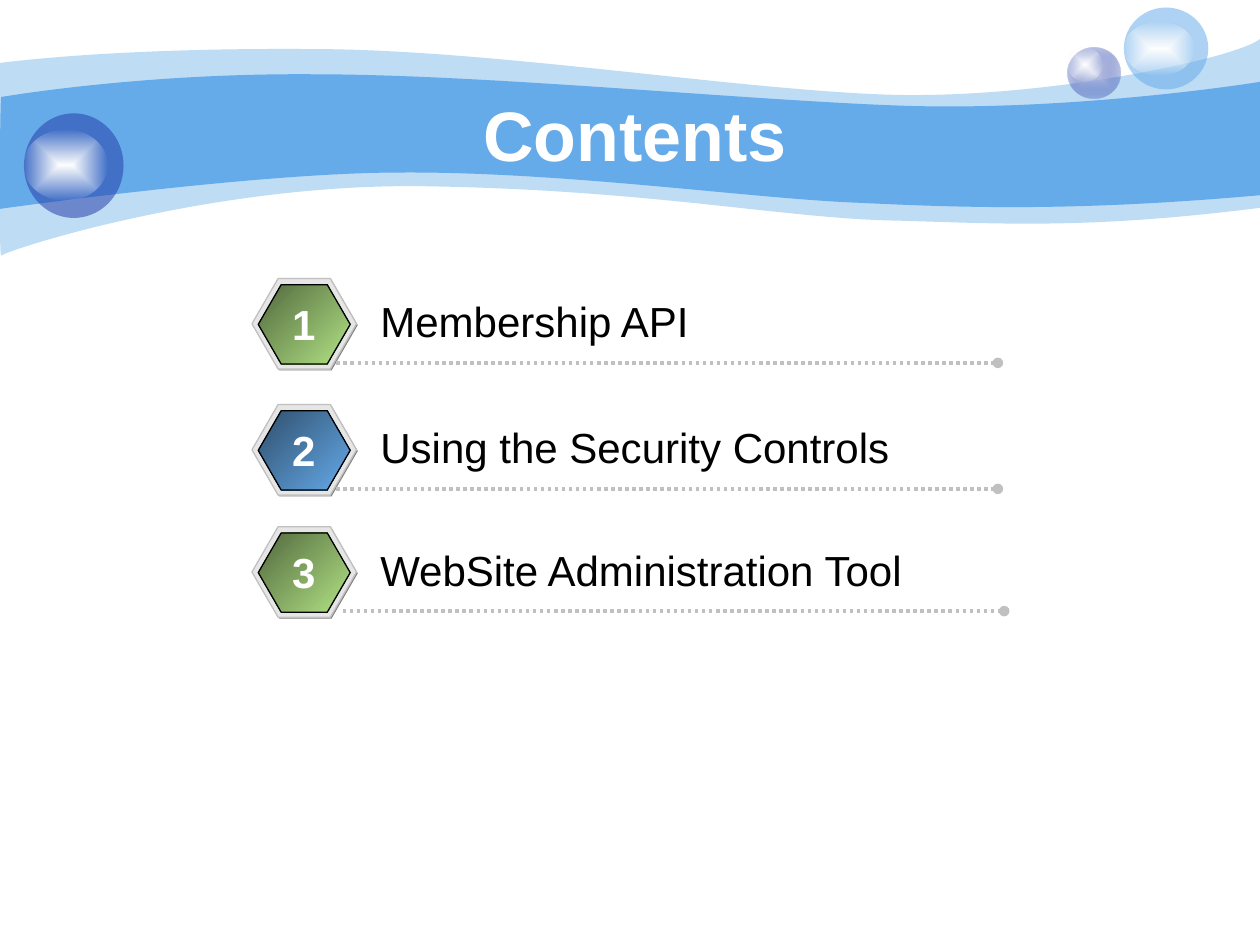
from lxml import etree
from pptx import Presentation
from pptx.dml.color import RGBColor
from pptx.enum.dml import MSO_LINE
from pptx.enum.shapes import MSO_CONNECTOR, MSO_SHAPE
from pptx.enum.text import MSO_ANCHOR, MSO_AUTO_SIZE, PP_ALIGN
from pptx.oxml import parse_xml
from pptx.oxml.ns import nsdecls, qn
from pptx.util import Inches, Pt

ELLIPSE, HEXAGON = MSO_SHAPE.OVAL, MSO_SHAPE.HEXAGON
STRAIGHT, DOTTED = MSO_CONNECTOR.STRAIGHT, MSO_LINE.ROUND_DOT
LEFT, CENTER, MIDDLE = PP_ALIGN.LEFT, PP_ALIGN.CENTER, MSO_ANCHOR.MIDDLE
FIT = MSO_AUTO_SIZE.SHAPE_TO_FIT_TEXT

SKY, NAVY, WHITE, BLACK, SILVER = "65AAE9", "233DA9", "FFFFFF", "000000", "C0C0C0"
GREEN_BLEND = [("52693E", 100), ("B2E385", 100)]
BLUE_BLEND = [("2F4F6C", 100), (SKY, 100)]
GLOW = [(WHITE, 100), (WHITE, 0)]
FROM_CENTER = '<a:path path="rect"><a:fillToRect l="50000" t="50000" r="50000" b="50000"/></a:path>'
DIAGONAL = '<a:lin ang="2700000" scaled="1"/>'

BADGE_LEFT, BADGE_WIDTH, BADGE_HEIGHT = 2, 0.83, 0.72
LABEL_LEFT, RULE_LENGTH = 2.92, 5.25
ITEMS = [
    ("Membership API", 2.21, GREEN_BLEND, 2.67, 5.39),
    ("Using the Security Controls", 3.21, BLUE_BLEND, 2.67, 4.92),
    ("WebSite Administration Tool", 4.18, GREEN_BLEND, 2.72, 4.92),
]

OUTER_WAVE = [
    [(0, 0.5)],
    [(0.24, 0.47), (1.07, 0.38), (2.47, 0.39)],
    [(3.86, 0.39), (5.75, 0.7), (6.99, 0.75)],
    [(8.22, 0.8), (9.8, 0.47), (10, 0.31)],
    [(10, 1.65)],
    [(8.58, 1.83), (7.87, 1.77), (7.05, 1.75)],
    [(6.22, 1.73), (5.15, 1.51), (3.43, 1.48)],
    [(1.72, 1.44), (0.04, 1.99), (0.01, 2.03)],
    [(-0.01, 2.08), (0, 0.75), (0, 0.5)],
]
INNER_WAVE = [
    [(0.01, 0.77)],
    [(0.02, 0.77), (1.1, 0.58), (2.48, 0.59)],
    [(3.86, 0.59), (5.95, 0.8), (7.18, 0.84)],
    [(8.41, 0.88), (9.76, 0.69), (10, 0.65)],
    [(10, 1.55)],
    [(8.53, 1.68), (7.65, 1.65), (6.82, 1.61)],
    [(5.99, 1.58), (4.47, 1.36), (3.17, 1.37)],
    [(2.03, 1.37), (-0.02, 1.66), (-0.01, 1.66)],
    [(0, 1.66), (0, 0.77), (0.01, 0.77)],
]


def rgb(color):
    return RGBColor.from_string(color)


def color_xml(color, opacity):
    alpha = f'<a:alpha val="{opacity * 1000}"/>' if opacity < 100 else ""
    return f'<a:srgbClr val="{color}">{alpha}</a:srgbClr>'


def paint(shape, stops, direction=FROM_CENTER, outline=None):
    shape.shadow.inherit = False
    if len(stops) == 1:
        fill = f'<a:solidFill {nsdecls("a")}>{color_xml(*stops[0])}</a:solidFill>'
    else:
        marks = "".join(f'<a:gs pos="{position}">{color_xml(*stop)}</a:gs>'
                        for position, stop in zip((0, 100000), stops))
        fill = (f'<a:gradFill {nsdecls("a")} rotWithShape="1"><a:gsLst>{marks}</a:gsLst>'
                f'{direction}</a:gradFill>')
    shape.fill.background()
    properties = shape.element.spPr
    properties.replace(properties.find(qn("a:noFill")), parse_xml(fill))
    if outline:
        shape.line.color.rgb = rgb(outline)
        shape.line.width = Pt(0.75)
    else:
        shape.line.fill.background()


def add_wave(slide, segments, opacity):
    points = [(Inches(x), Inches(y)) for segment in segments for x, y in segment]
    builder = slide.shapes.build_freeform(*points[0])
    builder.add_line_segments(points[1:], close=True)
    wave = builder.convert_to_shape()
    edges = iter(list(wave.element.iter(qn("a:lnTo"))))
    for segment in segments[1:]:
        first, *others = [next(edges) for _ in segment]
        if others:
            first.tag = qn("a:cubicBezTo")
        for edge in others:
            first.append(edge[0])
            edge.getparent().remove(edge)
    paint(wave, [(SKY, opacity)])


def add_preset(group, preset, box):
    return group.shapes.add_shape(preset, *map(Inches, box))


def add_orb(slide, ball, ball_stops, shine):
    group = slide.shapes.add_group_shape()
    paint(add_preset(group, ELLIPSE, ball), ball_stops)
    paint(add_preset(group, ELLIPSE, shine), GLOW)


def add_badge(slide, top, blend):
    group = slide.shapes.add_group_shape()
    layers = [
        (0.01, 0.01, BADGE_WIDTH, BADGE_HEIGHT, [("808080", 100)], None),
        (0, 0, BADGE_WIDTH, BADGE_HEIGHT, [("E6E6E6", 100)], SILVER),
        (0.05, 0.05, 0.73, 0.63, blend, BLACK),
    ]
    for inset, drop, width, height, stops, outline in layers:
        hexagon = add_preset(group, HEXAGON, (BADGE_LEFT + inset, top + drop, width, height))
        hexagon.adjustments[0] = 0.289
        paint(hexagon, stops, DIAGONAL, outline)


def write(frame, text, size, color, bold, align):
    frame.text = text
    paragraph = frame.paragraphs[0]
    paragraph.alignment = align
    font = paragraph.runs[0].font
    font.name, font.size, font.bold = "Arial", Pt(size), bold
    font.color.rgb = rgb(color)


def add_label(slide, box, text, color, bold=False, align=LEFT, wrap=True):
    frame = slide.shapes.add_textbox(*map(Inches, box)).text_frame
    frame.word_wrap = wrap
    frame.auto_size = FIT
    write(frame, text, 24, color, bold, align)


def add_rule(slide, left, top):
    ends = map(Inches, (left, top, left + RULE_LENGTH, top))
    rule = slide.shapes.add_connector(STRAIGHT, *ends)
    rule.line.color.rgb = rgb(SILVER)
    rule.line.width = Pt(2)
    rule.line.dash_style = DOTTED
    properties = rule.element.spPr
    etree.SubElement(properties.find(qn("a:ln")), qn("a:tailEnd"), type="oval")
    etree.SubElement(properties, qn("a:effectLst"))


def add_title(slide, text):
    title = slide.shapes.title
    slide.shapes.element.append(title.element)
    title.left, title.top, title.width, title.height = map(Inches, (1, 0.75, 8.08, 0.62))
    title.text_frame.vertical_anchor = MIDDLE
    write(title.text_frame, text, 40, WHITE, True, CENTER)


def main():
    deck = Presentation()
    deck.slide_width, deck.slide_height = Inches(10), Inches(7.5)
    slide = deck.slides.add_slide(deck.slide_layouts[5])
    add_wave(slide, OUTER_WAVE, 41)
    add_wave(slide, INNER_WAVE, 100)
    add_orb(slide, (8.47, 0.38, 0.42, 0.4), [("C7CEE9", 100), (NAVY, 31)],
            (8.47, 0.38, 0.28, 0.27))
    add_orb(slide, (8.92, 0.06, 0.67, 0.65), [(SKY, 53)], (8.92, 0.17, 0.56, 0.43))
    add_orb(slide, (0.19, 0.9, 0.79, 0.83), [(NAVY, 53)], (0.19, 1.03, 0.66, 0.56))
    add_title(slide, "Contents")
    for number, (topic, top, blend, rule_left, label_width) in enumerate(ITEMS, 1):
        add_badge(slide, top, blend)
        add_rule(slide, rule_left, top + 0.67)
        add_label(slide, (LABEL_LEFT, top + 0.09, label_width, 0.5), topic, BLACK)
        add_label(slide, (2.22, top + 0.11, 0.38, 0.5), str(number), WHITE, True, CENTER, False)
    deck.save("out.pptx")


if __name__ == "__main__":
    main()
